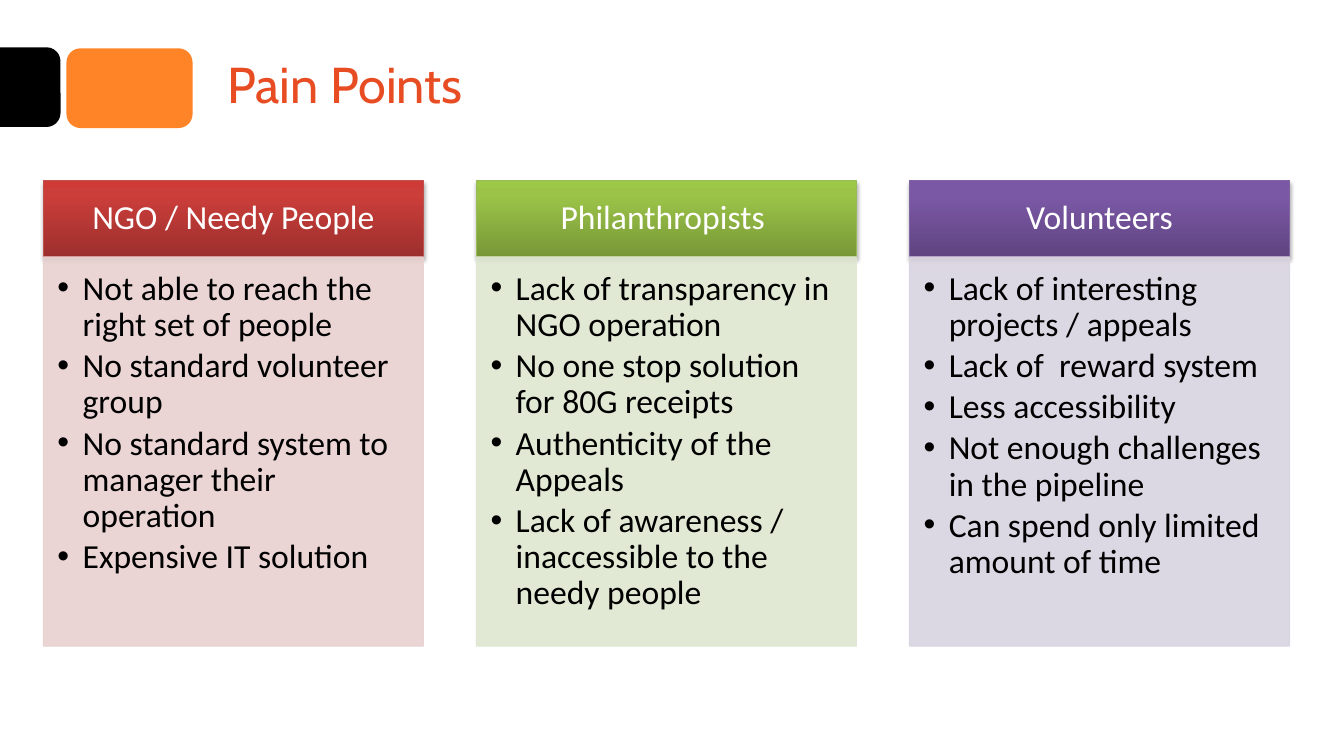
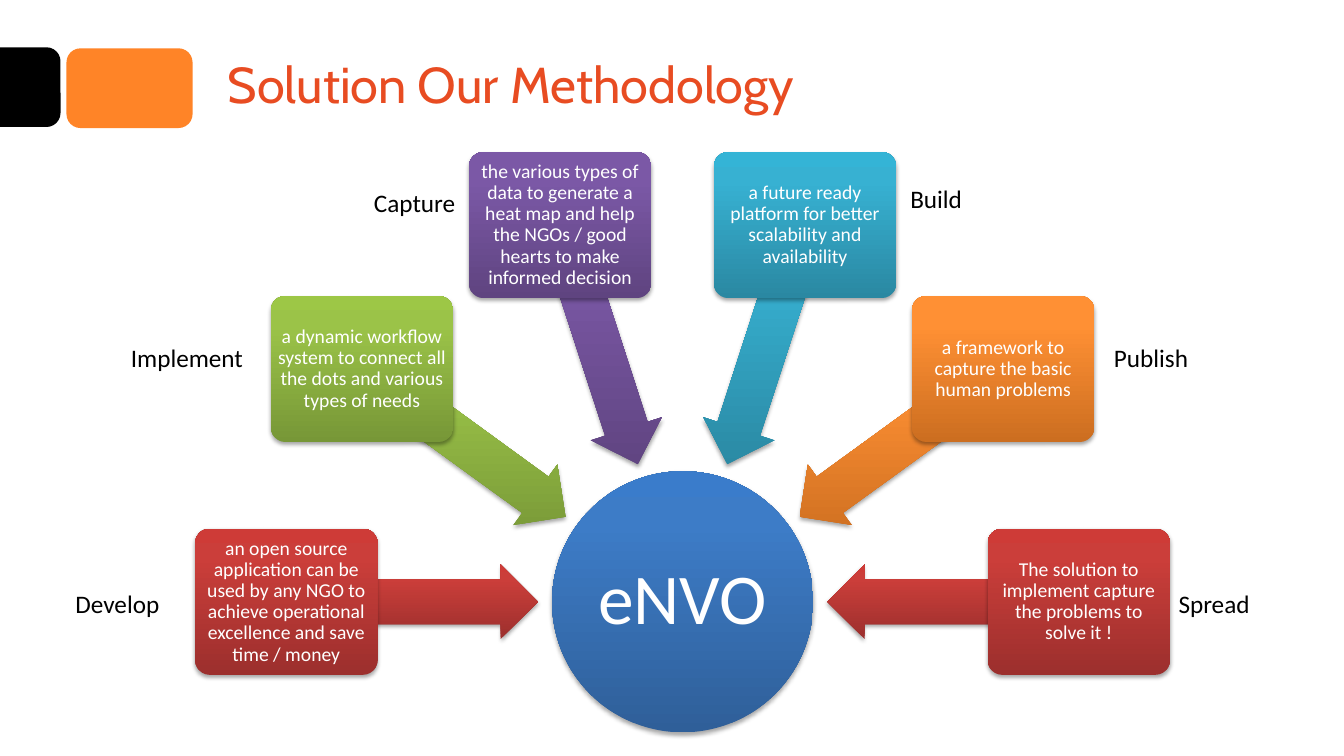
"""Build the pain points and methodology slides."""
from dataclasses import dataclass
from math import cos, radians, sin
from typing import NamedTuple

from lxml.etree import SubElement
from pptx import Presentation
from pptx.dml.color import RGBColor
from pptx.enum.shapes import MSO_SHAPE
from pptx.enum.text import MSO_ANCHOR, PP_ALIGN
from pptx.oxml.ns import qn
from pptx.shapes.autoshape import Shape
from pptx.slide import Slide
from pptx.text.text import TextFrame
from pptx.util import Inches, Pt


class Box(NamedTuple):
    left: float
    top: float
    width: float
    height: float


class Ramp(NamedTuple):
    bottom: str
    middle: str
    top: str


@dataclass(frozen=True)
class Theme:
    black: str = "000000"
    white: str = "FFFFFF"
    accent: str = "FF8427"
    title: str = "E84C22"
    red: Ramp = Ramp("9C2F2D", "CB3E3A", "CE3B37")
    green: Ramp = Ramp("779737", "9BC348", "9DC746")
    purple: Ramp = Ramp("5F4480", "7B58A6", "7C57A8")
    teal: Ramp = Ramp("2A88A2", "37B1D2", "34B4D6")
    orange: Ramp = Ramp("CC6E20", "FF9034", "FF9136")
    blue: Ramp = Ramp("2F5F99", "3D7CC7", "3A7CCB")
    title_font: str = "Cabin"
    body_font: str = "Calibri"
    title_size: float = 36
    hub_size: float = 51
    column_size: float = 24
    label_size: float = 18
    step_size: float = 14


@dataclass(frozen=True)
class Column:
    heading: str
    points: tuple[str, ...]
    ramp: Ramp
    outline: str
    tint: str


@dataclass(frozen=True)
class Step:
    label: str
    label_box: Box
    text: str
    ramp: Ramp


THEME = Theme()
COLUMNS = (
    Column("NGO / Needy People", (
        "Not able to reach the right set of people",
        "No standard volunteer group",
        "No standard system to manager their operation",
        "Expensive IT solution",
    ), THEME.red, "C0504D", "E8D0D0"),
    Column("Philanthropists ", (
        "Lack of transparency in NGO operation",
        "No one stop solution for 80G receipts",
        "Authenticity of the Appeals",
        "Lack of awareness / inaccessible to the needy people",
    ), THEME.green, "9BBB59", "DEE7D1"),
    Column("Volunteers", (
        "Lack of interesting projects / appeals",
        "Lack of  reward system",
        "Less accessibility",
        "Not enough challenges in the pipeline",
        "Can spend only limited amount of time",
    ), THEME.purple, "8064A2", "D8D3E0"),
)
STEPS = (
    Step("Develop", Box(0.65, 5.79, 1.1, 0.4),
         "an open source application can be used by any NGO to achieve "
         "operational excellence and save time / money", THEME.red),
    Step("Implement", Box(1.2, 3.35, 1.33, 0.4),
         "a dynamic workflow system to connect all the dots and various types of needs",
         THEME.green),
    Step("Capture", Box(3.61, 1.81, 1.02, 0.4),
         "the various types of data to generate a heat map and help the NGOs / good "
         "hearts to make informed decision", THEME.purple),
    Step("Build", Box(8.93, 1.77, 0.72, 0.4),
         "a future ready platform for better scalability and availability", THEME.teal),
    Step("Publish", Box(10.95, 3.35, 0.95, 0.4),
         "a framework to capture the basic human problems", THEME.orange),
    Step("Spread", Box(11.59, 5.79, 0.92, 0.4),
         "The solution to implement capture the problems to solve it !", THEME.red),
)


def color(value: str) -> RGBColor:
    return RGBColor.from_string(value)


def centered(x: float, y: float, width: float, height: float) -> Box:
    return Box(x - width / 2, y - height / 2, width, height)


def add_shape(slide: Slide, kind: MSO_SHAPE, box: Box, adjustments: tuple[float, ...] = ()) -> Shape:
    shape = slide.shapes.add_shape(kind, *map(Inches, box))
    shape.shadow.inherit = False
    shape.line.fill.background()
    for index, value in enumerate(adjustments):
        shape.adjustments[index] = value
    return shape


def paint(shape: Shape, fill: str, line_width: float, opacity: int = 100) -> None:
    shape.fill.solid()
    shape.fill.fore_color.rgb = color(fill)
    outline(shape, fill, line_width)
    if opacity < 100:
        for element in shape.element.spPr.iter(qn("a:srgbClr")):
            SubElement(element, qn("a:alpha"), val=str(opacity * 1000))


def outline(shape: Shape, value: str, width: float) -> None:
    shape.line.color.rgb = color(value)
    shape.line.width = Pt(width)


def paint_glossy(shape: Shape, ramp: Ramp) -> None:
    shape.fill.gradient()
    shape.fill.gradient_angle = 90
    properties = shape.element.spPr
    gradient = properties.find(qn("a:gradFill"))
    gradient.set("rotWithShape", "0")
    stops = gradient.find(qn("a:gsLst"))
    for stop in list(stops):
        stops.remove(stop)
    for position, value in zip((0, 80, 100), ramp):
        stop = SubElement(stops, qn("a:gs"), pos=str(position * 1000))
        SubElement(stop, qn("a:srgbClr"), val=value)
    shadow = SubElement(
        properties.find(qn("a:effectLst")), qn("a:outerShdw"),
        blurRad=str(Pt(3.1)), dist=str(Pt(1.8)), dir="5400000", rotWithShape="0",
    )
    shadow_color = SubElement(shadow, qn("a:srgbClr"), val=THEME.black)
    SubElement(shadow_color, qn("a:alpha"), val="35000")


def set_insets(frame: TextFrame, left: float, top: float, right: float, bottom: float) -> None:
    frame.margin_left, frame.margin_top = Inches(left), Inches(top)
    frame.margin_right, frame.margin_bottom = Inches(right), Inches(bottom)


def write(frame: TextFrame, lines: tuple[str, ...], size: float, text_color: str,
          font: str = THEME.body_font, alignment: PP_ALIGN = PP_ALIGN.LEFT,
          spacing: float = 1.0, bulleted: bool = False) -> None:
    for index, line in enumerate(lines):
        paragraph = frame.add_paragraph() if index else frame.paragraphs[0]
        paragraph.alignment = alignment
        paragraph.line_spacing = spacing
        if bulleted:
            paragraph.space_after = Pt(3.5)
            properties = paragraph._p.get_or_add_pPr()
            properties.set("marL", str(Inches(0.25)))
            properties.set("indent", str(Inches(-0.25)))
            SubElement(properties, qn("a:buFont"), typeface="Arial")
            SubElement(properties, qn("a:buChar"), char="•")
        run = paragraph.add_run()
        run.text = line
        run.font.name = font
        run.font.size = Pt(size)
        run.font.color.rgb = color(text_color)


def write_centered(shape: Shape, text: str, size: float, inset: float) -> None:
    frame = shape.text_frame
    frame.word_wrap = True
    frame.vertical_anchor = MSO_ANCHOR.MIDDLE
    set_insets(frame, inset, inset, inset, inset)
    write(frame, (text,), size, THEME.white, alignment=PP_ALIGN.CENTER, spacing=0.9)


def add_text(slide: Slide, box: Box, text: str, size: float, text_color: str,
             font: str = THEME.body_font, wrap: bool = False) -> TextFrame:
    frame = slide.shapes.add_textbox(*map(Inches, box)).text_frame
    frame.word_wrap = wrap
    write(frame, (text,), size, text_color, font)
    return frame


def add_titled_slide(presentation: Presentation, title: str) -> Slide:
    slide = presentation.slides.add_slide(presentation.slide_layouts[6])
    for left, top, fill in ((-0.64, 0.48, THEME.black), (0.67, 0.49, THEME.accent)):
        paint(add_shape(slide, MSO_SHAPE.ROUNDED_RECTANGLE, Box(left, top, 1.23, 0.77)), fill, 1.5)
    frame = add_text(slide, Box(2.16, 0.44, 9.4, 0.77), title, THEME.title_size,
                     THEME.title, THEME.title_font, wrap=True)
    frame.vertical_anchor = MSO_ANCHOR.MIDDLE
    return slide


def add_column(slide: Slide, column: Column, left: float, width: float) -> None:
    top, heading_height, body_height = 1.79, 0.76, 3.86
    heading = add_shape(slide, MSO_SHAPE.RECTANGLE, Box(left, top, width, heading_height))
    paint_glossy(heading, column.ramp)
    outline(heading, column.outline, 0.75)
    write_centered(heading, column.heading, THEME.column_size, 0.11)
    body = add_shape(slide, MSO_SHAPE.RECTANGLE,
                     Box(left, top + heading_height, width, body_height))
    paint(body, column.tint, 0.75, opacity=90)
    frame = body.text_frame
    frame.word_wrap = True
    frame.vertical_anchor = MSO_ANCHOR.TOP
    set_insets(frame, 0.14, 0.14, 0.19, 0.21)
    write(frame, column.points, THEME.column_size, THEME.black, spacing=0.9, bulleted=True)


def add_pain_points(presentation: Presentation) -> None:
    slide = add_titled_slide(presentation, "Pain Points")
    left, right, width = 0.43, 12.79, 3.77
    pitch = (right - left - width) / (len(COLUMNS) - 1)
    for index, column in enumerate(COLUMNS):
        add_column(slide, column, left + index * pitch, width)


def add_methodology(presentation: Presentation) -> None:
    slide = add_titled_slide(presentation, "Solution Our Methodology")
    center_x, center_y = 6.77, 5.97
    arrow_radius, step_radius = 2.68, 3.93
    hub = add_shape(slide, MSO_SHAPE.OVAL, centered(center_x, center_y, 2.59, 2.59))
    paint_glossy(hub, THEME.blue)
    write_centered(hub, "eNVO", THEME.hub_size, 0.04)
    for index, step in enumerate(STEPS):
        rotation = (180 + index * 180 / (len(STEPS) - 1)) % 360
        across, down = cos(radians(rotation)), sin(radians(rotation))
        arrow = add_shape(slide, MSO_SHAPE.LEFT_ARROW, centered(
            center_x + arrow_radius * across, center_y + arrow_radius * down, 2.49, 0.74), (0.6, 0.5))
        arrow.rotation = rotation
        paint_glossy(arrow, step.ramp)
        card = add_shape(slide, MSO_SHAPE.ROUNDED_RECTANGLE, centered(
            center_x + step_radius * across, center_y + step_radius * down, 1.81, 1.45), (0.1,))
        paint_glossy(card, step.ramp)
        write_centered(card, step.text, THEME.step_size, 0.03)
        add_text(slide, step.label_box, step.label, THEME.label_size, THEME.black)


def main() -> None:
    presentation = Presentation()
    presentation.slide_width = Inches(13.33)
    presentation.slide_height = Inches(7.5)
    add_pain_points(presentation)
    add_methodology(presentation)
    presentation.save("out.pptx")


if __name__ == "__main__":
    main()
